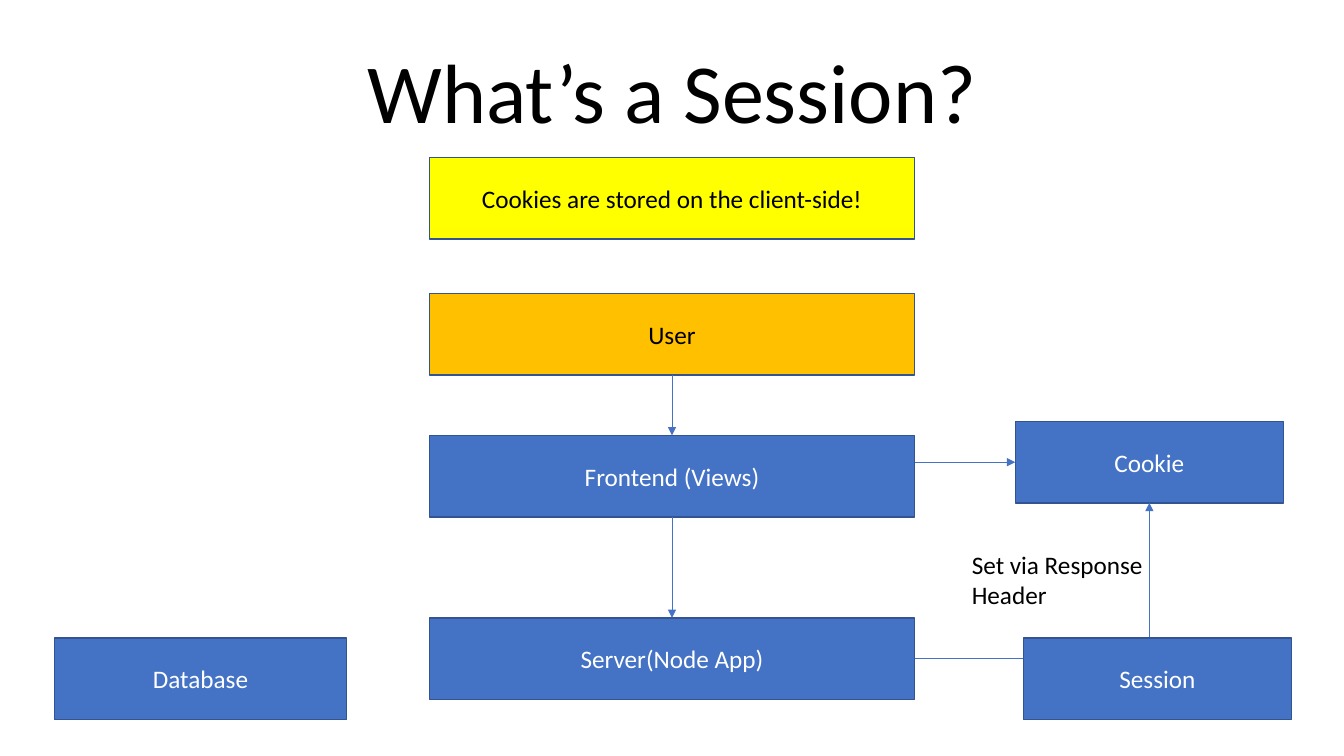
from lxml import etree
from pptx import Presentation
from pptx.dml.color import RGBColor
from pptx.enum.shapes import MSO_CONNECTOR, MSO_SHAPE
from pptx.enum.text import MSO_ANCHOR, MSO_AUTO_SIZE, PP_ALIGN
from pptx.oxml.ns import qn
from pptx.util import Inches, Pt

RECTANGLE = MSO_SHAPE.RECTANGLE
STRAIGHT, ELBOW = MSO_CONNECTOR.STRAIGHT, MSO_CONNECTOR.ELBOW
MIDDLE, BOTTOM_ANCHOR = MSO_ANCHOR.MIDDLE, MSO_ANCHOR.BOTTOM
CENTER = PP_ALIGN.CENTER
FIXED_SIZE, GROW = MSO_AUTO_SIZE.NONE, MSO_AUTO_SIZE.SHAPE_TO_FIT_TEXT

SLIDE_WIDTH, SLIDE_HEIGHT = Inches(13.33), Inches(7.5)
COLUMN, ROW = SLIDE_WIDTH / 100, SLIDE_HEIGHT / 100
TOP, LEFT, BOTTOM, RIGHT = range(4)
FONT = "Calibri"
COLORS = {
    "black": "000000",
    "white": "FFFFFF",
    "yellow": "FFFF00",
    "orange": "FFC000",
    "blue": "4472C4",
    "outline": "325491",
}
BOX_ROWS = 10.8
MAIN = (31.95, 36.1)
COOKIE = (75.54, 19.95)
SESSION = (76.14, 19.95)
DATABASE = (4.05, 21.75)


def color(name):
    return RGBColor.from_string(COLORS[name])


def grid(column, row, columns, rows):
    return round(column * COLUMN), round(row * ROW), round(columns * COLUMN), round(rows * ROW)


def write(frame, text, size=18, ink="black", align=None):
    para = frame.paragraphs[0]
    para.alignment = align
    span = para.add_run()
    span.text = text
    span.font.name = FONT
    span.font.size = Pt(size)
    span.font.color.rgb = color(ink)
    return para


def add_title(page, text):
    title = page.shapes.title
    title.left, title.top, title.width, title.height = grid(12.5, 3.07, 75, 16.4)
    frame = title.text_frame
    frame.auto_size = FIXED_SIZE
    frame.vertical_anchor = BOTTOM_ANCHOR
    write(frame, text, size=60, align=CENTER).line_spacing = 0.9


def add_box(page, text, span_columns, row, fill="blue", ink="white"):
    column, columns = span_columns
    box = page.shapes.add_shape(RECTANGLE, *grid(column, row, columns, BOX_ROWS))
    box.shadow.inherit = False
    box.fill.solid()
    box.fill.fore_color.rgb = color(fill)
    box.line.color.rgb = color("outline")
    box.line.width = Pt(1)
    box.text_frame.vertical_anchor = MIDDLE
    write(box.text_frame, text, ink=ink, align=CENTER)
    return box


def add_label(page, text, column, row, columns, rows):
    label = page.shapes.add_textbox(*grid(column, row, columns, rows))
    label.text_frame.word_wrap = True
    label.text_frame.auto_size = GROW
    write(label.text_frame, text)


def add_arrow(page, start, start_side, end, end_side, kind=STRAIGHT):
    arrow = page.shapes.add_connector(kind, 0, 0, 0, 0)
    arrow.begin_connect(start, start_side)
    arrow.end_connect(end, end_side)
    style_arrow(arrow)
    return arrow


def add_level_arrow(page, start, end):
    level = end.top + end.height // 2
    arrow = page.shapes.add_connector(STRAIGHT, start.left + start.width, level, end.left, level)
    arrow.end_connect(end, LEFT)
    style_arrow(arrow)


def style_arrow(arrow):
    arrow.line.color.rgb = color("blue")
    arrow.line.width = Pt(0.5)
    properties = arrow.element.spPr
    etree.SubElement(properties.find(qn("a:ln")), qn("a:tailEnd"), type="triangle")
    etree.SubElement(properties, qn("a:effectLst"))


def add_corner_arrow(page, start, start_side, end, end_side):
    arrow = add_arrow(page, start, start_side, end, end_side, ELBOW)
    arrow.element.spPr.find(qn("a:prstGeom")).set("prst", "bentConnector2")


def main():
    deck = Presentation()
    deck.slide_width, deck.slide_height = SLIDE_WIDTH, SLIDE_HEIGHT
    page = deck.slides.add_slide(deck.slide_layouts[0])
    subtitle = page.placeholders[1].element
    subtitle.getparent().remove(subtitle)

    add_title(page, "What’s a Session?")
    add_box(page, "Cookies are stored on the client-side!", MAIN, 20.8, "yellow", "black")
    user = add_box(page, "User", MAIN, 38.8, "orange", "black")
    frontend = add_box(page, "Frontend (Views)", MAIN, 57.6)
    server = add_box(page, "Server(Node App)", MAIN, 81.73)
    cookie = add_box(page, "Cookie", COOKIE, 55.73)

    add_arrow(page, user, BOTTOM, frontend, TOP)
    add_arrow(page, frontend, BOTTOM, server, TOP)
    add_level_arrow(page, frontend, cookie)
    add_label(page, "Set via Response Header", 71.57, 72, 14.4, 9.47)
    add_corner_arrow(page, server, RIGHT, cookie, BOTTOM)

    add_box(page, "Session", SESSION, 84.4)
    add_box(page, "Database", DATABASE, 84.4)
    deck.save("out.pptx")


if __name__ == "__main__":
    main()
